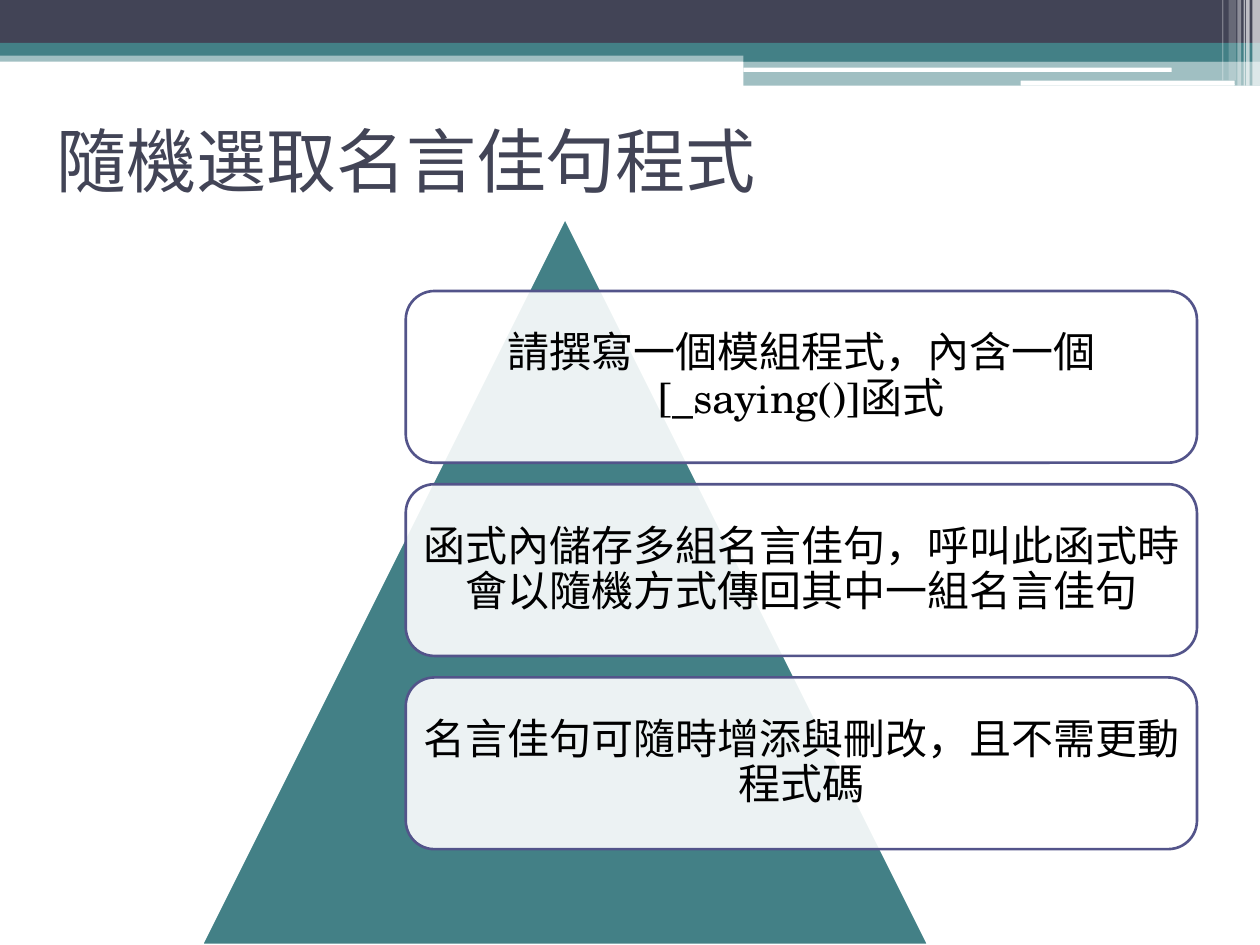
from lxml import etree
from pptx import Presentation
from pptx.dml.color import RGBColor
from pptx.enum.shapes import MSO_SHAPE
from pptx.enum.text import MSO_ANCHOR, PP_ALIGN
from pptx.oxml.ns import qn
from pptx.util import Inches, Pt

RECTANGLE = MSO_SHAPE.RECTANGLE
ROUNDED = MSO_SHAPE.ROUNDED_RECTANGLE
TRIANGLE = MSO_SHAPE.ISOSCELES_TRIANGLE
MIDDLE = MSO_ANCHOR.MIDDLE
CENTER = PP_ALIGN.CENTER

WHITE, BLACK = "FFFFFF", "000000"
NAVY, TEAL, VIOLET = "424456", "438086", "53548A"

# Boxes are left, top, width, height in inches.
BANNER_BOX = (0, 0, 10, 0.68)
STRIPES_BOX = (9.7, 0, 0.3, 0.68)
TITLE_BOX = (0.35, 0.68, 9, 1.17)
PYRAMID_BOX = (1.6, 1.73, 5.77, 5.77)
CARDS_BOX = (3.22, 2.31, 6.28, 4.43)

# Shape, left, top, width, height as shares of the banner, colour, opacity.
BANNER_BANDS = [
    (RECTANGLE, 0, 0.59, 1, 0.13, TEAL, 50),
    (RECTANGLE, 0, 0, 1, 0.5, NAVY, 100),
    (RECTANGLE, 0, 0.5, 1, 0.15, TEAL, 100),
    (RECTANGLE, 0.59, 0.57, 0.41, 0.15, TEAL, 100),
    (RECTANGLE, 0.59, 0.71, 0.41, 0.29, TEAL, 50),
    (ROUNDED, 0.59, 0.79, 0.34, 0.05, WHITE, 100),
    (ROUNDED, 0.81, 0.94, 0.17, 0.06, WHITE, 100),
]
# Left, width, height as shares of the stripe area, opacity.
STRIPES = [
    (0.8, 0.2, 1, 65),
    (0.63, 0.1, 1, 65),
    (0.57, 0.03, 1, 60),
    (0.4, 0.1, 1, 40),
    (0.17, 0.2, 0.94, 20),
    (0, 0.03, 0.94, 30),
]
TITLE = "隨機選取名言佳句程式"
CARD_TEXTS = [
    "請撰寫一個模組程式，內含一個[_saying()]函式",
    "函式內儲存多組名言佳句，呼叫此函式時會以隨機方式傳回其中一組名言佳句",
    "名言佳句可隨時增添與刪改，且不需更動程式碼",
]


def color(hex_string):
    return RGBColor.from_string(hex_string)


def part_of(box, left, top, width, height):
    """Turn shares of a box into a box in inches."""
    return (box[0] + left * box[2], box[1] + top * box[3],
            width * box[2], height * box[3])


def add_filled_shape(slide, preset, box, fill, opacity=100, line=None):
    shape = slide.shapes.add_shape(preset, *map(Inches, box))
    shape.shadow.inherit = False
    shape.fill.solid()
    shape.fill.fore_color.rgb = color(fill)
    if opacity < 100:
        fill_color = shape.fill._xPr.find(qn("a:solidFill"))[0]
        alpha = etree.SubElement(fill_color, qn("a:alpha"))
        alpha.set("val", str(opacity * 1000))
    if line:
        shape.line.color.rgb = color(line)
        shape.line.width = Pt(1.5)
    else:
        shape.line.fill.background()
    return shape


def write_text(shape, text, size, font, text_color):
    """Write one vertically centred paragraph and return it."""
    frame = shape.text_frame
    frame.word_wrap = True
    frame.vertical_anchor = MIDDLE
    paragraph = frame.paragraphs[0]
    run = paragraph.add_run()
    run.text = text
    run.font.size = Pt(size)
    run.font.name = font
    run.font.color.rgb = color(text_color)
    return paragraph


def add_banner(slide, box):
    for preset, left, top, width, height, fill, opacity in BANNER_BANDS:
        band = part_of(box, left, top, width, height)
        add_filled_shape(slide, preset, band, fill, opacity)


def add_stripes(slide, box):
    for left, width, height, opacity in STRIPES:
        stripe = part_of(box, left, 0, width, height)
        add_filled_shape(slide, RECTANGLE, stripe, WHITE, opacity)


def add_title(slide, box):
    title = slide.shapes.add_textbox(*map(Inches, box))
    write_text(title, TITLE, 40, "Lato", NAVY)


def add_cards(slide, box):
    """Stack the cards with gaps of an eighth of a card."""
    count = len(CARD_TEXTS)
    height = 1 / (count + (count - 1) / 8)
    for index, text in enumerate(CARD_TEXTS):
        place = part_of(box, 0, index * height * 9 / 8, 1, height)
        card = add_filled_shape(slide, ROUNDED, place, WHITE, 90, VIOLET)
        # The rounded corners already inset the text a little.
        card.text_frame.margin_left = card.text_frame.margin_right = Inches(0.03)
        paragraph = write_text(card, text, 24, "TeX Gyre Schola", BLACK)
        paragraph.alignment = CENTER
        paragraph.line_spacing = 0.9


def main():
    presentation = Presentation()
    presentation.slide_width = Inches(10)
    presentation.slide_height = Inches(7.5)
    slide = presentation.slides.add_slide(presentation.slide_layouts[6])
    add_banner(slide, BANNER_BOX)
    add_stripes(slide, STRIPES_BOX)
    add_title(slide, TITLE_BOX)
    add_filled_shape(slide, TRIANGLE, PYRAMID_BOX, TEAL, line=WHITE)
    add_cards(slide, CARDS_BOX)
    presentation.save("out.pptx")


if __name__ == "__main__":
    main()
